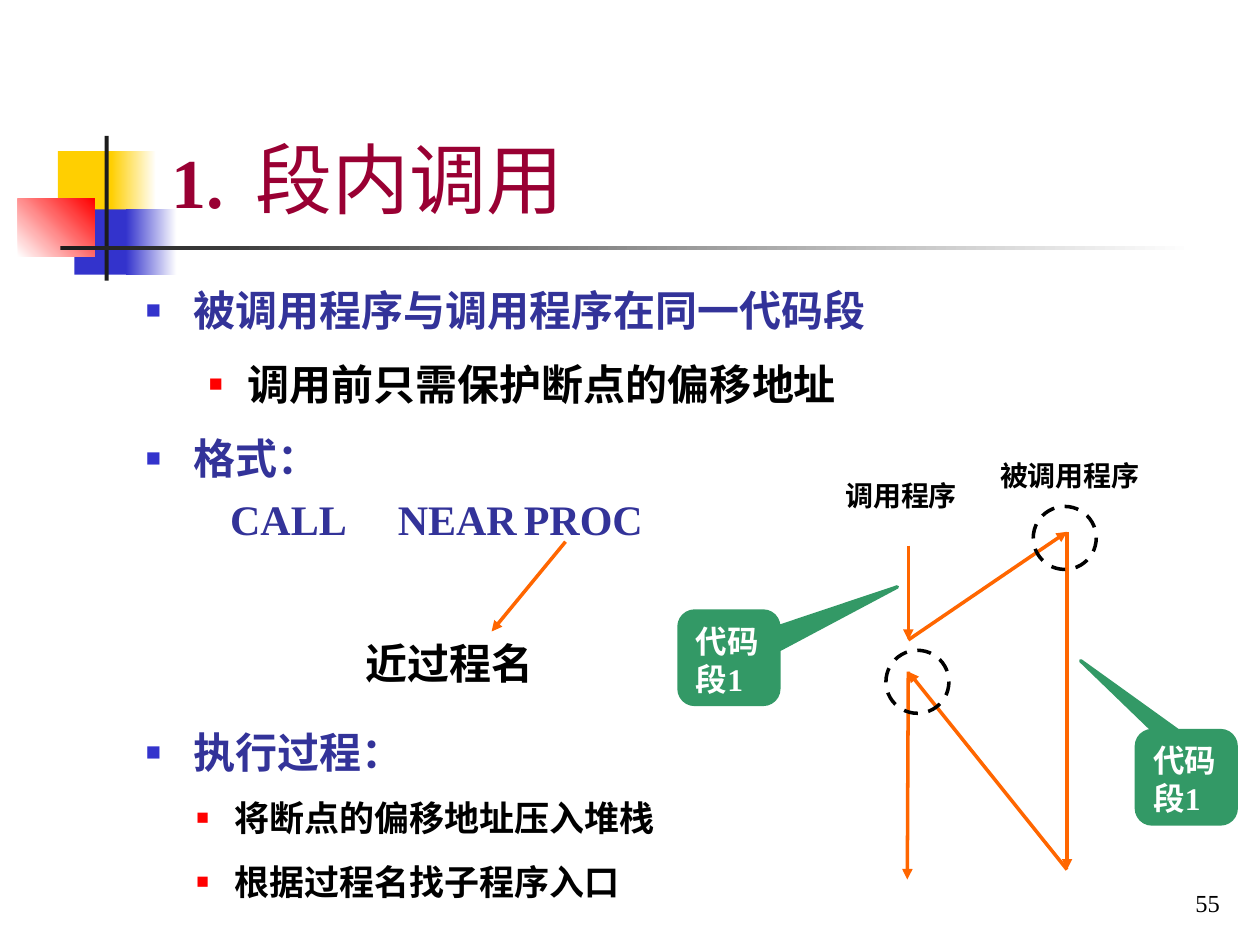
from dataclasses import dataclass
from itertools import pairwise

from lxml import etree
from pptx import Presentation
from pptx import util as u
from pptx.dml.color import RGBColor
from pptx.enum import dml, shapes, text
from pptx.oxml import ns

Cm, Pt = u.Cm, u.Pt


@dataclass(frozen=True)
class Theme:
    serif: str = "Times New Roman"
    sans: str = "Arial"
    gold: str = "FFCF01"
    blue: str = "3333CC"
    red: str = "FF0000"
    dark: str = "1C1C1C"
    white: str = "FFFFFF"
    black: str = "000000"
    wine: str = "990033"
    navy: str = "333399"
    green: str = "339966"
    orange: str = "FF6600"
    title: int = 44
    number: int = 40
    body: int = 24
    item: int = 20
    tag: int = 18
    label: int = 16
    page: int = 14
    line: int = 2


T = Theme()


def rgb(code):
    return RGBColor.from_string(code)


def sub(node, tag, **attrs):
    return etree.SubElement(node, ns.qn(tag), attrs)


def style(run, size, color, bold=True, face=T.serif):
    font = run.font
    font.size, font.bold, font.name = Pt(size), bold, face
    font.color.rgb = rgb(color)


def indent(para, left, first):
    props = para._p.get_or_add_pPr()
    props.set("marL", str(Cm(left)))
    props.set("indent", str(Cm(first)))


def bullet(para, color, scale):
    props = para._p.get_or_add_pPr()
    sub(sub(props, "a:buClr"), "a:srgbClr", val=color)
    sub(props, "a:buSzPct", val=str(scale * 1000))
    sub(props, "a:buFont", typeface=T.serif)
    sub(props, "a:buChar", char="■")


def tabs(para, *stops):
    group = sub(para._p.get_or_add_pPr(), "a:tabLst")
    for stop in stops:
        sub(group, "a:tab", pos=str(Cm(stop)), algn="l")


def frame(slide, box, anchor=text.MSO_ANCHOR.TOP):
    area = slide.shapes.add_textbox(*map(Cm, box)).text_frame
    area.word_wrap = True
    area.vertical_anchor = anchor
    return area


def label(slide, box, words, size, **look):
    area = frame(slide, box)
    area.text = words
    style(area.paragraphs[0].runs[0], size, T.black, **look)
    return area


def outline(shape, color):
    shape.line.color.rgb = rgb(color)
    shape.line.width = Pt(T.line)


def block(slide, box, start, end=None, angle=0):
    shape = slide.shapes.add_shape(shapes.MSO_SHAPE.RECTANGLE, *map(Cm, box))
    shape.shadow.inherit = False
    shape.line.fill.background()
    if end is None:
        shape.fill.solid()
        shape.fill.fore_color.rgb = rgb(start)
        return
    shape.fill.gradient()
    shape.fill.gradient_angle = angle
    for stop, color, place in zip(shape.fill.gradient_stops, (start, end), (0, 1)):
        stop.color.rgb = rgb(color)
        stop.position = place


def arrow(slide, start, end):
    link = slide.shapes.add_connector(
        shapes.MSO_CONNECTOR.STRAIGHT, *map(Cm, start + end))
    outline(link, T.orange)
    sub(link.line._get_or_add_ln(), "a:tailEnd", type="triangle")
    sub(link._element.spPr, "a:effectLst")


def ring(slide, left, top):
    shape = slide.shapes.add_shape(
        shapes.MSO_SHAPE.OVAL, Cm(left), Cm(top), Cm(1.27), Cm(1.27))
    shape.shadow.inherit = False
    shape.fill.background()
    outline(shape, T.black)
    shape.line.dash_style = dml.MSO_LINE.DASH


def callout(slide, left, top, tip):
    shape = slide.shapes.add_shape(
        shapes.MSO_SHAPE.ROUNDED_RECTANGULAR_CALLOUT,
        Cm(left), Cm(top), Cm(2.01), Cm(1.88))
    shape.shadow.inherit = False
    shape.adjustments[0], shape.adjustments[1] = tip
    shape.fill.solid()
    shape.fill.fore_color.rgb = rgb(T.green)
    outline(shape, T.green)
    area = shape.text_frame
    area.word_wrap = True
    area.vertical_anchor = text.MSO_ANCHOR.TOP
    area.text = "代码段1"
    para = area.paragraphs[0]
    para.alignment = text.PP_ALIGN.LEFT
    style(para.runs[0], T.tag, T.white)


def decor(slide):
    block(slide, (1.17, 3.05, 1.22, 1.32), T.gold)
    block(slide, (2.24, 3.05, 0.91, 1.32), T.gold, T.white)
    block(slide, (1.5, 4.22, 1.17, 1.32), T.blue)
    block(slide, (2.54, 4.22, 1.02, 1.32), T.blue, T.white)
    block(slide, (0.36, 4.01, 1.55, 1.17), T.white, T.red, 45)
    block(slide, (2.11, 2.74, 0.08, 2.92), T.dark)
    block(slide, (1.22, 4.95, 22.86, 0.1), T.dark, T.white)


def title(slide):
    area = frame(slide, (3.2, 0.58, 21.64, 4.06), text.MSO_ANCHOR.BOTTOM)
    para = area.paragraphs[0]
    para.text = "1.\t"
    tabs(para, 1.7)
    style(para.runs[0], T.number, T.wine)
    run = para.add_run()
    run.text = "段内调用"
    style(run, T.title, T.wine, bold=False)


def body(slide):
    top, low, code = (0.97, -0.97), (2.06, -0.79), (0, 1.7)
    rows = [
        ("被调用程序与调用程序在同一代码段", top, T.navy, (T.blue, 60), 0, 9),
        ("调用前只需保护断点的偏移地址", low, T.black, (T.red, 55), 4.5, 9),
        ("格式：", top, T.navy, (T.blue, 60), 4.5, 1.5),
        ("CALL\tNEAR\tPROC", code, T.navy, None, 4.5, 1.5),
        ("执行过程：", top, T.navy, (T.blue, 60), 103, 1.5),
    ]
    area = frame(slide, (2.69, 5.61, 16.03, 10.31))
    area.text = "\n".join(row[0] for row in rows)
    for para, (_, inset, color, mark, above, below) in zip(area.paragraphs, rows):
        indent(para, *inset)
        para.space_before, para.space_after = Pt(above), Pt(below)
        if mark:
            bullet(para, *mark)
        else:
            tabs(para, 4.42, 7.26)
        style(para.runs[0], T.body, color)


def steps(slide):
    area = frame(slide, (3.71, 15.93, 10.01, 2.39))
    area.text = "将断点的偏移地址压入堆栈\n根据过程名找子程序入口"
    for place, para in enumerate(area.paragraphs):
        indent(para, 0.76, -0.76)
        para.space_before = Pt(12.5 * place)
        bullet(para, T.red, 60)
        style(para.runs[0], T.item, T.black, face=T.sans)


def flow(slide):
    route = [(18.31, 11), (18.31, 12.9), (21.51, 10.72),
             (21.51, 17.53), (18.31, 13.54), (18.29, 17.73)]
    for start, end in pairwise(route):
        arrow(slide, start, end)
    ring(slide, 17.86, 13.11)
    callout(slide, 13.69, 12.32, (1.69, -0.76))
    ring(slide, 20.83, 10.21)
    label(slide, (16.79, 9.53, 3.07, 0.94), "调用程序", T.label, face=T.sans)
    label(slide, (19.91, 9.12, 3.78, 0.94), "被调用程序", T.label, face=T.sans)
    callout(slide, 22.91, 14.73, (-1.06, -1.25))


def main():
    deck = Presentation()
    deck.slide_width, deck.slide_height = Cm(25.4), Cm(19.05)
    slide = deck.slides.add_slide(deck.slide_layouts[6])
    decor(slide)
    title(slide)
    body(slide)
    arrow(slide, (11.4, 10.92), (9.91, 12.73))
    label(slide, (7.11, 12.73, 4.88, 1.27), "近过程名", T.body)
    flow(slide)
    steps(slide)
    page = label(slide, (19.56, 17.35, 5.28, 1.27), "55", T.page, bold=False)
    page.vertical_anchor = text.MSO_ANCHOR.BOTTOM
    page.paragraphs[0].alignment = text.PP_ALIGN.RIGHT
    deck.save("out.pptx")


if __name__ == "__main__":
    main()
